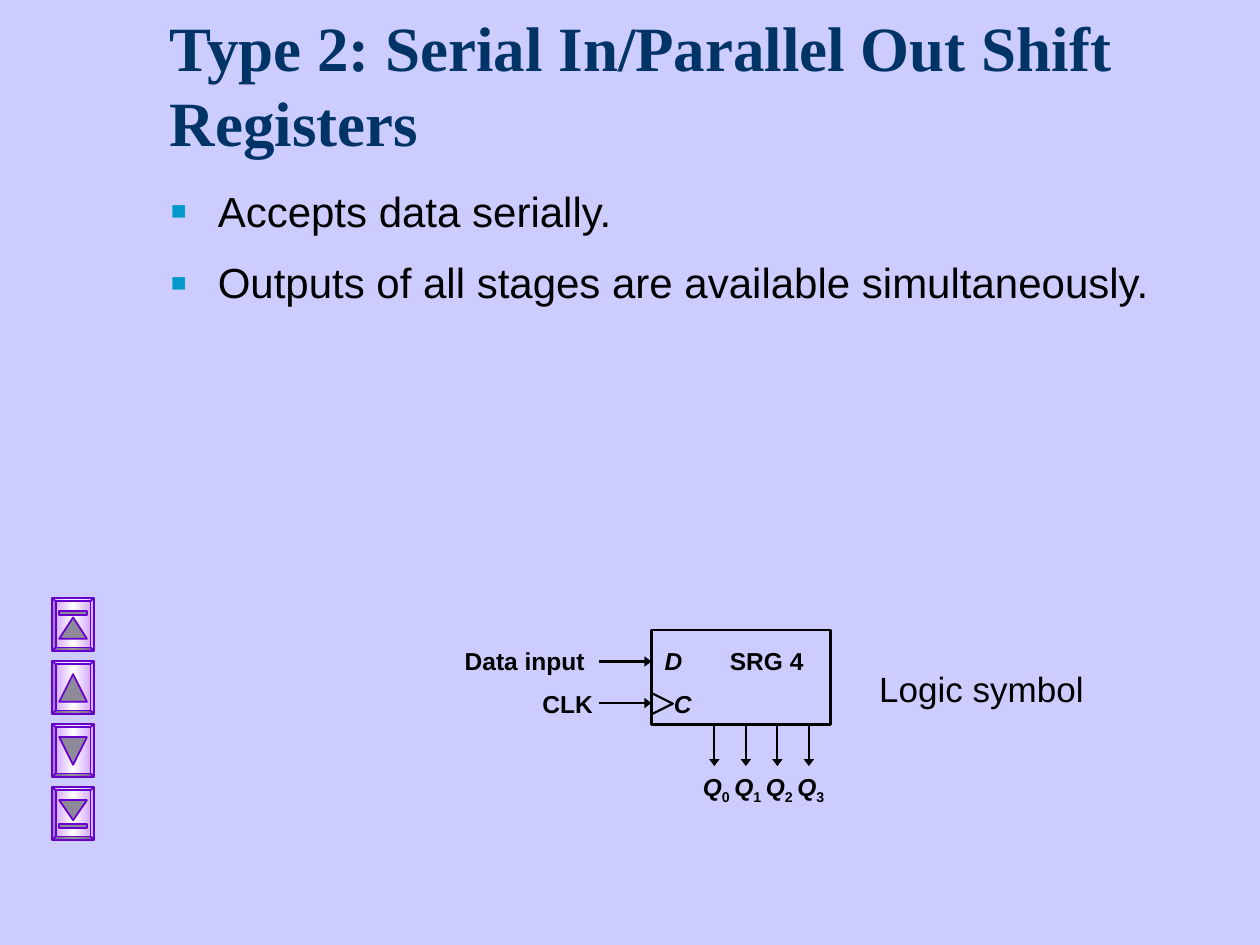
import copy
import pptx
import pptx.util
import pptx.dml.color
import pptx.enum.shapes
import pptx.enum.text
import pptx.oxml
import pptx.oxml.ns

Inches = pptx.util.Inches
Pt = pptx.util.Pt
SHAPE = pptx.enum.shapes.MSO_SHAPE
ALIGN = pptx.enum.text.PP_ALIGN
ANCHOR = pptx.enum.text.MSO_ANCHOR
qn = pptx.oxml.ns.qn
ns = pptx.oxml.ns.nsdecls("a")

colors = {
    "background": "CCCCFF", "title": "003366", "text": "000000",
    "bullet": "0099CC", "button": "CC99FF", "button_mid": "FFFFFF",
    "button_line": "6600CC", "icon": "8F8A99",
}
rgb = {k: pptx.dml.color.RGBColor.from_string(v) for k, v in colors.items()}

formats = {
    "title": {"name": "Times New Roman", "size": Pt(36), "bold": True},
    "body": {"name": "Arial", "size": Pt(24)},
    "caption": {"name": "Arial", "size": Pt(20)},
    "label": {"name": "Arial", "size": Pt(14), "bold": True},
    "pin": {"name": "Arial", "size": Pt(14), "bold": True, "italic": True},
}

prs = pptx.Presentation()
prs.slide_width, prs.slide_height = Inches(10), Inches(7.5)
s = prs.slides.add_slide(prs.slide_layouts[6])
s.background.fill.solid()
s.background.fill.fore_color.rgb = rgb["background"]


def add_text(box, lines, style, color="text", align=ALIGN.LEFT):
    tf = s.shapes.add_textbox(*map(Inches, box)).text_frame
    tf.word_wrap = True
    for i, line in enumerate(lines):
        p = tf.paragraphs[0] if i == 0 else tf.add_paragraph()
        p.alignment = align
        r = p.add_run()
        r.text = line
        for key, value in formats[style].items():
            setattr(r.font, key, value)
        r.font.color.rgb = rgb[color]
    return tf


def add_arrow(x1, y1, x2, y2):
    c = s.shapes.add_connector(
        pptx.enum.shapes.MSO_CONNECTOR.STRAIGHT, *map(Inches, (x1, y1, x2, y2)))
    c.line.color.rgb = rgb["text"]
    c.line.width = Pt(1.25)
    c.line._get_or_add_ln().append(pptx.oxml.parse_xml(
        f'<a:tailEnd {ns} type="triangle" w="med" len="sm"/>'))
    c._element.spPr.append(pptx.oxml.parse_xml(f'<a:effectLst {ns}/>'))


tf = add_text((1.25, 0.25, 8.5, 0.83),
              ["Type 2: Serial In/Parallel Out Shift Registers"], "title", "title")
tf.vertical_anchor = ANCHOR.MIDDLE

tf = add_text((1.25, 1.42, 8.42, 1.25),
              ["Accepts data serially.",
               "Outputs of all stages are available simultaneously."], "body")
for i, p in enumerate(tf.paragraphs):
    pPr = p._p.get_or_add_pPr()
    pPr.set("marL", str(Inches(0.38)))
    pPr.set("indent", str(-Inches(0.38)))
    for xml in (f'<a:buClr {ns}><a:srgbClr val="{colors["bullet"]}"/></a:buClr>',
                f'<a:buSzPct {ns} val="120000"/>',
                f'<a:buFont {ns} typeface="Arial"/>',
                f'<a:buChar {ns} char="▪"/>'):
        pPr.append(pptx.oxml.parse_xml(xml))
    if i:
        p.space_before = Pt(12)

for kind, box, width, rotation in (
        (SHAPE.RECTANGLE, (5.17, 5, 1.42, 0.75), 1.5, 0),
        (SHAPE.ISOSCELES_TRIANGLE, (5.17, 5.5, 0.17, 0.17), 1.25, 90)):
    sp = s.shapes.add_shape(kind, *map(Inches, box))
    sp.shadow.inherit = False
    sp.fill.background()
    sp.line.color.rgb = rgb["text"]
    sp.line.width = Pt(width)
    sp.rotation = rotation

for label, box, style in (
        ("D", (5.17, 5.08, 0.35, 0.34), "pin"),
        ("C", (5.25, 5.42, 0.33, 0.34), "pin"),
        ("CLK", (4.17, 5.42, 0.67, 0.34), "label"),
        ("Data input", (3.58, 5.08, 1.17, 0.34), "label"),
        ("SRG 4", (5.67, 5.08, 0.83, 0.34), "label"),
        ("Logic symbol", (6.75, 5.25, 2.08, 0.44), "caption")):
    add_text(box, [label], style, align=ALIGN.CENTER)

for y in (5.25, 5.58):
    add_arrow(4.75, y, 5.17, y)

for i in range(4):
    x = 5.67 + 0.25 * i
    add_arrow(x, 5.75, x, 6.08)
    tf = add_text((x - 0.19, 6.08, 0.41, 0.37), ["Q"], "pin")
    tf.margin_right = 0
    r = tf.paragraphs[0].add_run()
    r.text = str(i)
    for key, value in formats["label"].items():
        setattr(r.font, key, value)
    r.font.color.rgb = rgb["text"]
    r._r.get_or_add_rPr().set("baseline", "-25000")

for i, (tip, height, rotation, bar) in enumerate((
        (0.15, 0.17, 0, 0.1), (0.1, 0.22, 0, None),
        (0.1, 0.22, 180, None), (0.1, 0.16, 180, 0.29))):
    y = 4.75 + 0.5 * i
    sp = s.shapes.add_shape(
        SHAPE.BEVEL, *map(Inches, (0.37, y + 0.04, 0.42, 0.33)))
    sp.adjustments[0] = 0.08
    sp.rotation = 90
    sp.fill.gradient()
    sp.fill.gradient_angle = 90
    stops = sp._element.spPr.find(qn("a:gradFill")).find(qn("a:gsLst"))
    stops.insert(1, copy.deepcopy(stops[0]))
    for stop, position, color in zip(sp.fill.gradient_stops, (0, 0.5, 1),
                                     ("button", "button_mid", "button")):
        stop.position = position
        stop.color.rgb = rgb[color]
    parts = [sp]
    icon = s.shapes.add_shape(
        SHAPE.ISOSCELES_TRIANGLE, *map(Inches, (0.47, y + tip, 0.22, height)))
    icon.rotation = rotation
    parts.append(icon)
    if bar:
        parts.append(s.shapes.add_shape(
            SHAPE.RECTANGLE, *map(Inches, (0.47, y + bar, 0.22, 0.03))))
    for part in parts[1:]:
        part.fill.solid()
        part.fill.fore_color.rgb = rgb["icon"]
    for part in parts:
        part.shadow.inherit = False
        part.line.color.rgb = rgb["button_line"]
        part.line.width = Pt(1)

prs.save("out.pptx")
